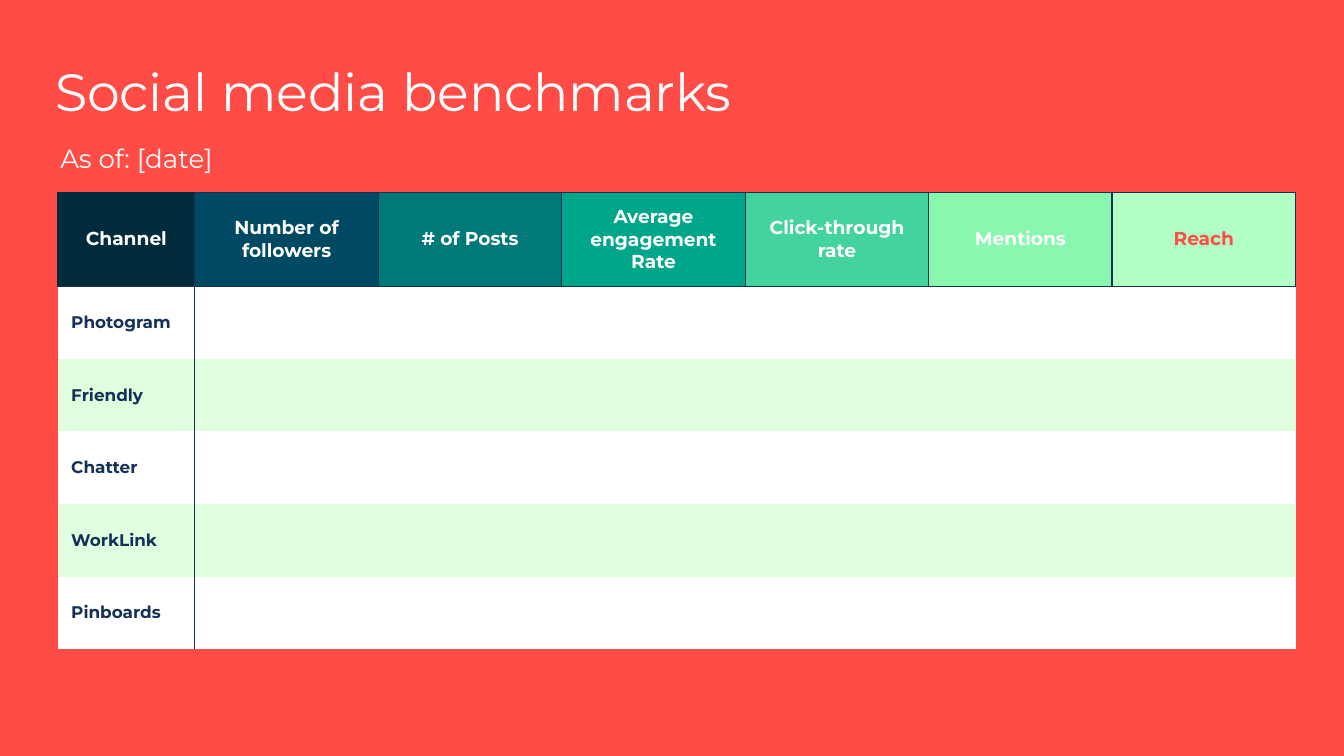
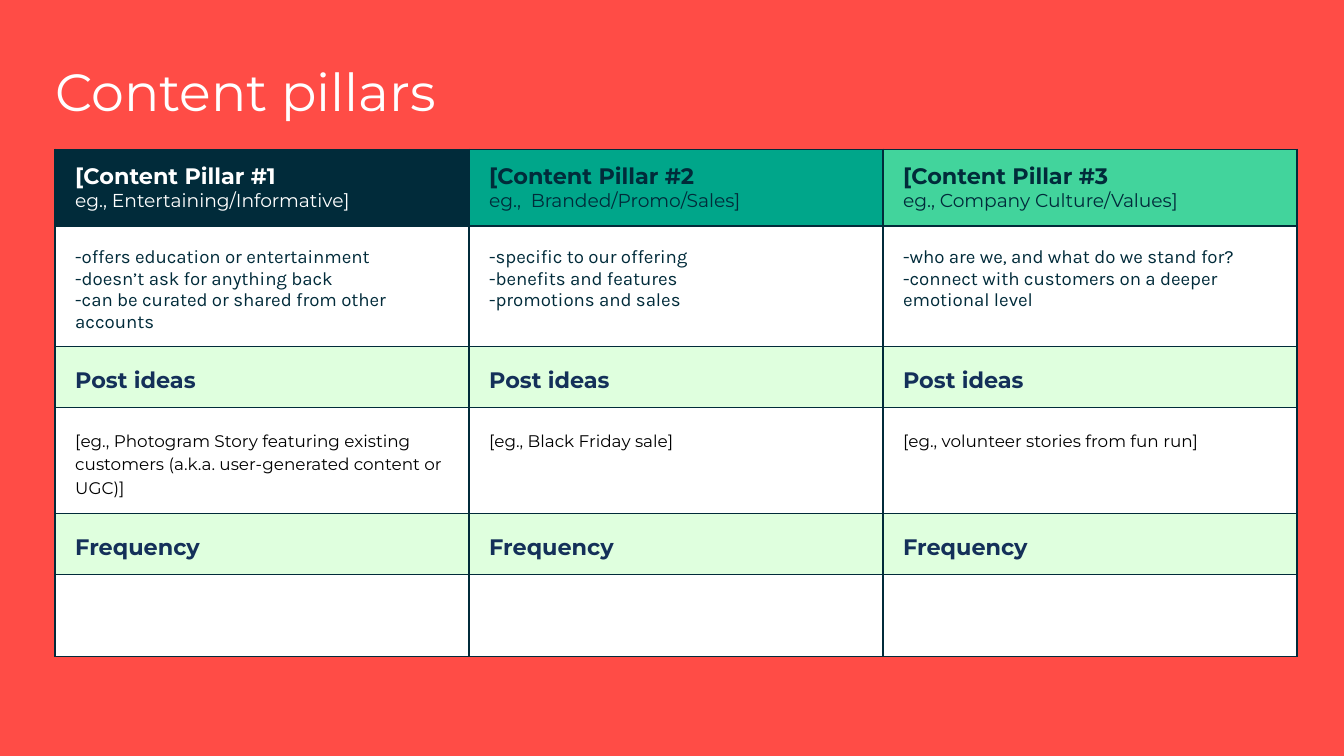
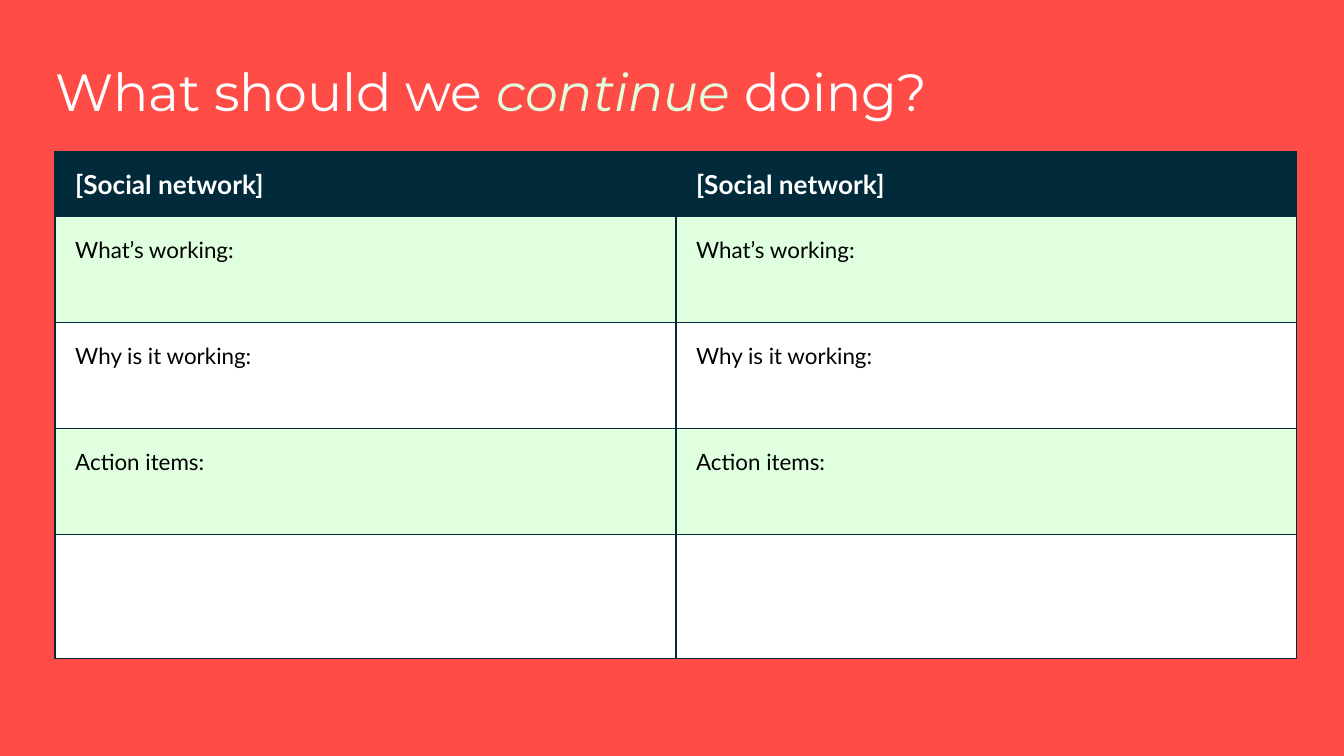
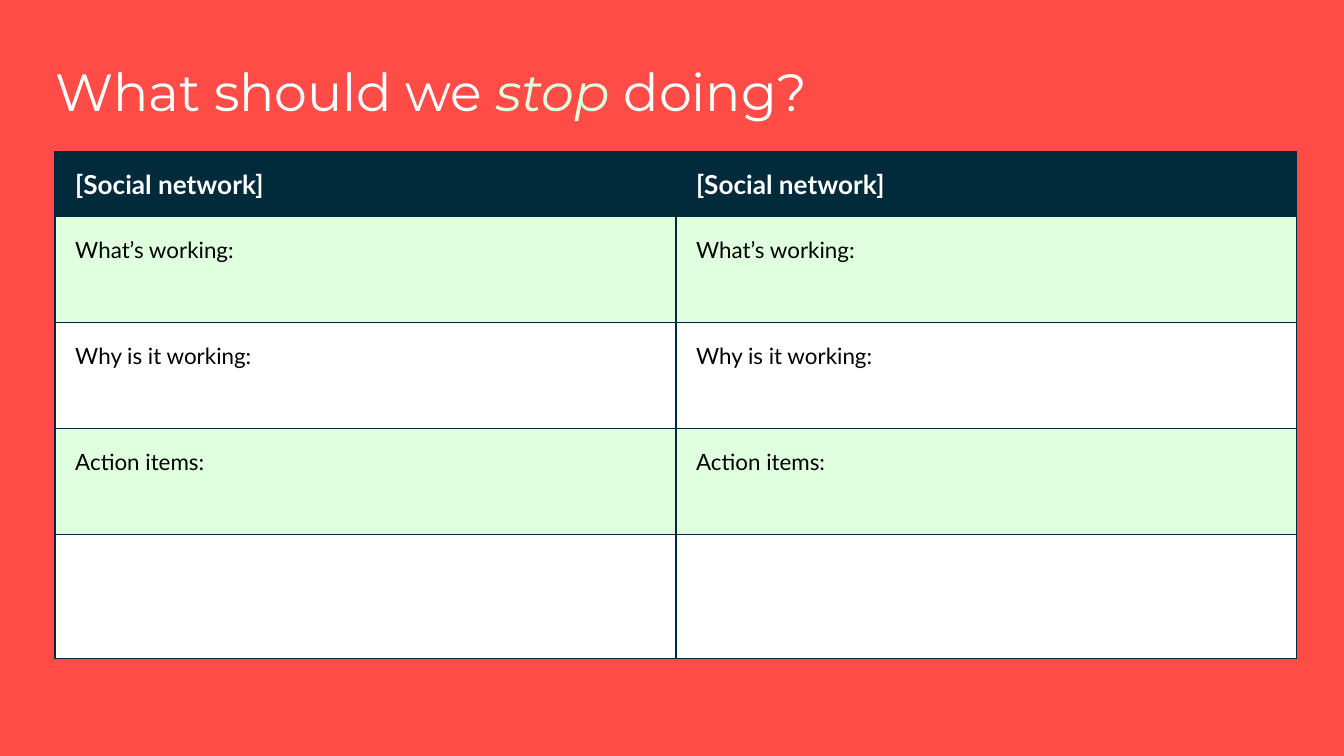
from pptx import Presentation
from pptx.dml.color import RGBColor
from pptx.enum.text import MSO_ANCHOR, MSO_AUTO_SIZE, PP_ALIGN
from pptx.oxml.ns import qn
from pptx.util import Inches, Pt
from lxml.etree import SubElement

COLORS = {
    "coral": "FF4C46",
    "white": "FFFFFF",
    "black": "000000",
    "ink": "012B3A",
    "navy": "143059",
    "ocean": "004963",
    "teal": "007978",
    "green": "00A68A",
    "mint": "42D49C",
    "light_mint": "87F8AE",
    "pale_mint": "B2FFC6",
    "pale_green": "DFFFDE",
}
NO_STYLE_TABLE = "{2D5ABB26-0587-4C30-8999-92F81FD0307C}"
SIDES = ("L", "R", "T", "B")
HEADER_INSETS = (0.15, 0.1, 0.15, 0.1)
BODY_INSETS = (0.15, 0.15, 0.15, 0.1)
EVEN_INSETS = (0.1, 0.1, 0.1, 0.1)


def rgb(name):
    return RGBColor.from_string(COLORS[name])


def write_text(paragraph, text, size=12, font="Montserrat", color="white",
               bold=False, italic=False, align=PP_ALIGN.LEFT, spacing=1.0):
    paragraph.alignment = align
    paragraph.line_spacing = spacing
    run = paragraph.add_run()
    run.text = text
    run.font.size = Pt(size)
    run.font.name = font
    run.font.bold = bold
    run.font.italic = italic
    run.font.color.rgb = rgb(color)


def set_insets(target, insets):
    target.margin_left, target.margin_top, target.margin_right, target.margin_bottom = map(Inches, insets)


def add_slide(presentation, title, emphasis="", ending=""):
    slide = presentation.slides.add_slide(presentation.slide_layouts[5])
    shape = slide.shapes.title
    shape.left, shape.top, shape.width, shape.height = map(Inches, (0.35, 0.39, 8.35, 0.59))
    frame = shape.text_frame
    frame.word_wrap = True
    frame.auto_size = MSO_AUTO_SIZE.NONE
    frame.vertical_anchor = MSO_ANCHOR.TOP
    set_insets(frame, (0.06, 0.1, 0.1, 0.1))
    paragraph = frame.paragraphs[0]
    write_text(paragraph, title, size=28, spacing=0.9)
    if emphasis:
        write_text(paragraph, emphasis, size=28, spacing=0.9, color="pale_green", italic=True)
        write_text(paragraph, ending, size=28, spacing=0.9)
    return slide


def add_subtitle(slide, text):
    shape = slide.shapes.add_textbox(Inches(0.35), Inches(0.98), Inches(9.09), Inches(0.34))
    frame = shape.text_frame
    frame.word_wrap = True
    frame.vertical_anchor = MSO_ANCHOR.MIDDLE
    set_insets(frame, EVEN_INSETS)
    write_text(frame.paragraphs[0], text, size=14, spacing=1.2)


def add_table(slide, left, top, column_widths, row_heights):
    table = slide.shapes.add_table(
        len(row_heights), len(column_widths), Inches(left), Inches(top),
        Inches(sum(column_widths)), Inches(sum(row_heights))).table
    table.first_row = table.horz_banding = False
    table._tbl.tblPr.find(qn("a:tableStyleId")).text = NO_STYLE_TABLE
    for column, width in zip(table.columns, column_widths):
        column.width = Inches(width)
    for row, height in zip(table.rows, row_heights):
        row.height = Inches(height)
    return table


def style_cell(cell, fill, sides=SIDES, border="ink", insets=BODY_INSETS, anchor=MSO_ANCHOR.TOP):
    set_insets(cell, insets)
    cell.vertical_anchor = anchor
    properties = cell._tc.get_or_add_tcPr()
    for side in SIDES:
        line = SubElement(properties, qn(f"a:ln{side}"), w=str(Pt(0.75)))
        if side in sides:
            solid = SubElement(line, qn("a:solidFill"))
            SubElement(solid, qn("a:srgbClr"), val=COLORS[border])
        else:
            SubElement(line, qn("a:noFill"))
    cell.fill.solid()
    cell.fill.fore_color.rgb = rgb(fill)


def write_lines(cell, lines, **text_format):
    frame = cell.text_frame
    for index, line in enumerate(lines):
        paragraph = frame.add_paragraph() if index else frame.paragraphs[0]
        write_text(paragraph, line, **text_format)


def add_benchmarks(presentation):
    slide = add_slide(presentation, "Social media benchmarks")
    add_subtitle(slide, "As of: [date]")
    headers = [
        ("Channel", "ink"), ("Number of followers", "ocean"), ("# of Posts", "teal"),
        ("Average engagement Rate", "green"), ("Click-through rate", "mint"),
        ("Mentions", "light_mint"), ("Reach", "pale_mint"),
    ]
    channels = ["Photogram", "Friendly", "Chatter", "WorkLink", "Pinboards"]
    table_width, channel_width = 9.21, 1.02
    metric_width = (table_width - channel_width) / (len(headers) - 1)
    table = add_table(slide, 0.43, 1.43, [channel_width] + [metric_width] * (len(headers) - 1),
                      [0.7] + [0.54] * len(channels))
    for column, (header, fill) in enumerate(headers):
        cell = table.cell(0, column)
        style_cell(cell, fill, border="navy" if column else "ink",
                   insets=EVEN_INSETS, anchor=MSO_ANCHOR.MIDDLE)
        write_lines(cell, [header], size=10, bold=True, align=PP_ALIGN.CENTER,
                    color="coral" if header == "Reach" else "white")
    for row, channel in enumerate(channels, 1):
        for column in range(len(headers)):
            sides = {0: "R", 1: "L"}.get(column, "") + ("T" if row == 1 else "")
            style_cell(table.cell(row, column), "white" if row % 2 else "pale_green",
                       sides=sides, border="navy", insets=EVEN_INSETS, anchor=MSO_ANCHOR.MIDDLE)
        write_lines(table.cell(row, 0), [channel], size=9, color="navy", bold=True)


def add_pillars(presentation):
    slide = add_slide(presentation, "Content pillars")
    pillars = [
        ("[Content Pillar #1", "eg., Entertaining/Informative]", "ink", "white",
         ["-offers education or entertainment", "-doesn’t ask for anything back",
          "-can be curated or shared from other accounts"],
         "[eg., Photogram Story featuring existing customers (a.k.a. user-generated content or UGC)]"),
        ("[Content Pillar #2", "eg.,  Branded/Promo/Sales]", "green", "ink",
         ["-specific to our offering", "-benefits and features", "-promotions and sales"],
         "[eg., Black Friday sale]"),
        ("[Content Pillar #3", "eg., Company Culture/Values]", "mint", "ink",
         ["-who are we, and what do we stand for?",
          "-connect with customers on a deeper emotional level"],
         "[eg., volunteer stories from fun run]"),
    ]
    table = add_table(slide, 0.41, 1.11, [3.08] * 3, [0.55, 0.89, 0.43, 0.79, 0.43, 0.61])
    for column, (name, example, fill, color, traits, idea) in enumerate(pillars):
        header, description, ideas_label, ideas, frequency_label, frequency = (
            table.cell(row, column) for row in range(6))
        style_cell(header, fill, insets=HEADER_INSETS, anchor=MSO_ANCHOR.MIDDLE)
        write_lines(header, [name], color=color, bold=True)
        write_text(header.text_frame.add_paragraph(), example, size=10, color=color)
        for cell in (description, ideas, frequency):
            style_cell(cell, "white")
        write_lines(description, traits, size=10, font="Karla", color="ink")
        write_lines(ideas, [idea], size=9, color="black", spacing=1.15)
        style_cell(ideas_label, "pale_green", anchor=MSO_ANCHOR.MIDDLE)
        style_cell(frequency_label, "pale_green")
        write_lines(ideas_label, ["Post ideas"], color="navy", bold=True)
        write_lines(frequency_label, ["Frequency"], color="navy", bold=True)


def add_review(presentation, verb):
    slide = add_slide(presentation, "What should we ", verb, " doing?")
    prompts = ["What’s working:", "Why is it working:", "Action items:", ""]
    table = add_table(slide, 0.41, 1.13, [4.62] * 2, [0.48, 0.79, 0.79, 0.79, 0.92])
    for column in range(2):
        header = table.cell(0, column)
        style_cell(header, "ink", insets=HEADER_INSETS, anchor=MSO_ANCHOR.MIDDLE)
        write_lines(header, ["[Social network]"], size=14, font="Lato", bold=True)
        for row, prompt in enumerate(prompts, 1):
            cell = table.cell(row, column)
            style_cell(cell, "pale_green" if row % 2 else "white")
            if prompt:
                write_lines(cell, [prompt], font="Lato", color="black")


def main():
    presentation = Presentation()
    presentation.slide_width = Inches(10)
    presentation.slide_height = presentation.slide_width * 9 // 16
    background = presentation.slide_master.background.fill
    background.solid()
    background.fore_color.rgb = rgb("coral")
    add_benchmarks(presentation)
    add_pillars(presentation)
    for verb in ("continue", "stop"):
        add_review(presentation, verb)
    presentation.save("out.pptx")


if __name__ == "__main__":
    main()
